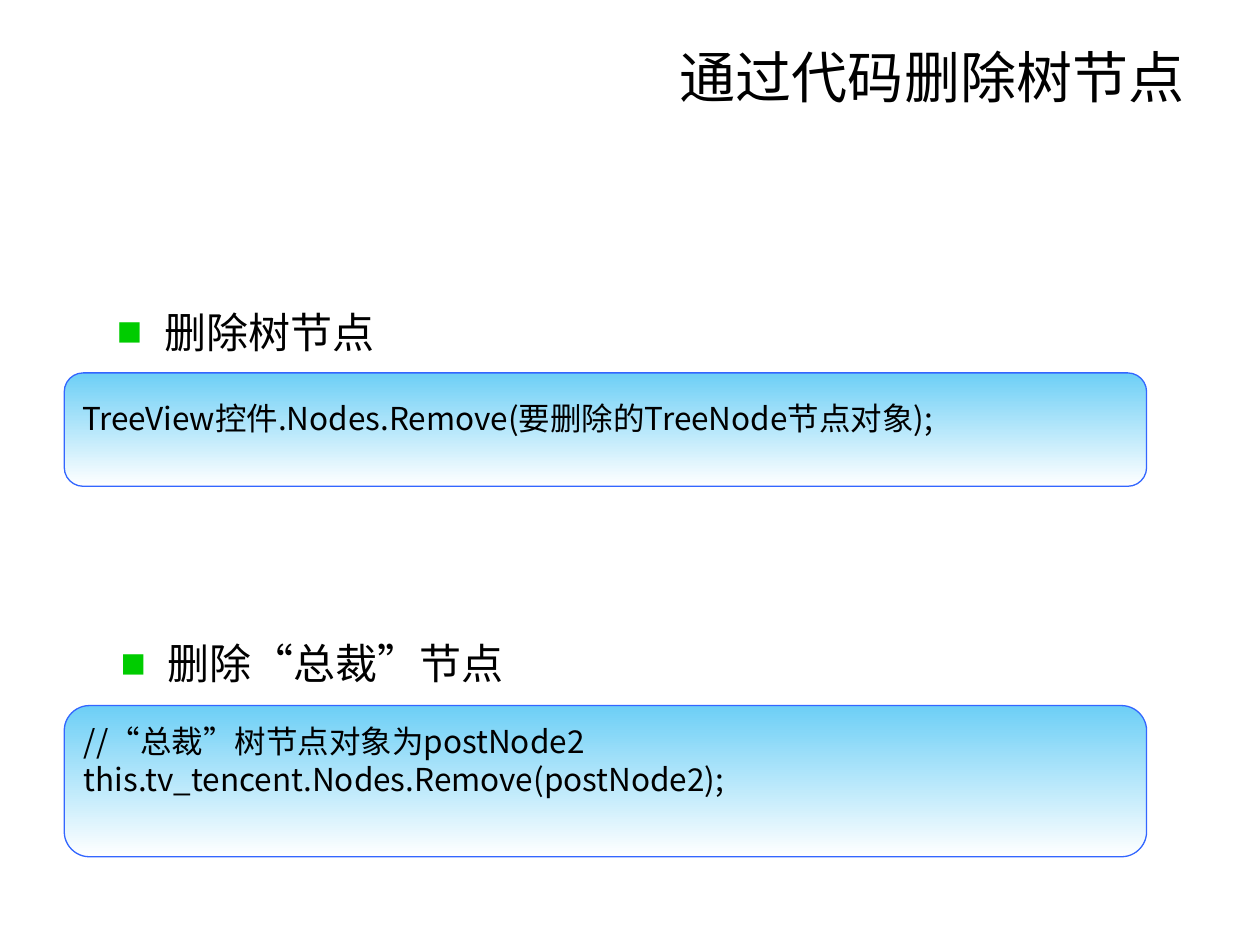
from lxml import etree
from pptx import Presentation
from pptx.dml.color import RGBColor
from pptx.enum.shapes import MSO_SHAPE
from pptx.enum.text import MSO_ANCHOR, PP_ALIGN
from pptx.oxml.ns import qn
from pptx.util import Pt

ALTERNATE_PROCESS = MSO_SHAPE.FLOWCHART_ALTERNATE_PROCESS
TOP, MIDDLE = MSO_ANCHOR.TOP, MSO_ANCHOR.MIDDLE
LEFT, RIGHT = PP_ALIGN.LEFT, PP_ALIGN.RIGHT

BLACK = RGBColor(0x00, 0x00, 0x00)
WHITE = RGBColor(0xFF, 0xFF, 0xFF)
GREEN = RGBColor(0x00, 0xCC, 0x00)
SKY = RGBColor(0x6D, 0xCF, 0xF6)
BLUE = RGBColor(0x33, 0x66, 0xFF)

LATIN_FONT = "Arial"
CHINESE_FONT = "Noto Sans CJK SC"

CODE_LEFT, CODE_WIDTH = 36.72, 618.48
SECTIONS = [
    {
        "heading": "删除树节点",
        "heading_box": (59.76, 174.96, 648, 42.5),
        "code": ["TreeView控件.Nodes.Remove(要删除的TreeNode节点对象);"],
        "code_box": (CODE_LEFT, 213.12, CODE_WIDTH, 64.8),
        "line_spacing": 1.5,
    },
    {
        "heading": "删除“总裁”节点",
        "heading_box": (61.92, 364.32, 648, 42.5),
        "code": [
            "//“总裁”树节点对象为postNode2",
            "this.tv_tencent.Nodes.Remove(postNode2);",
        ],
        "code_box": (CODE_LEFT, 403.2, CODE_WIDTH, 86.4),
        "line_spacing": 1.0,
    },
]


def set_attributes(target, values):
    for name, value in values.items():
        setattr(target, name, value)


def add_run(paragraph, text, font_name, size):
    run = paragraph.add_run()
    run.text = text
    set_attributes(run.font, {"name": font_name, "size": Pt(size)})
    run.font.color.rgb = BLACK
    properties = run.font._element
    etree.SubElement(properties, qn("a:ea"), typeface=CHINESE_FONT)


def add_bullet(paragraph, indent):
    properties = paragraph._p.get_or_add_pPr()
    properties.set("marL", str(Pt(indent)))
    properties.set("indent", str(-Pt(indent)))
    color = etree.SubElement(properties, qn("a:buClr"))
    etree.SubElement(color, qn("a:srgbClr"), val=str(GREEN))
    etree.SubElement(properties, qn("a:buFont"), typeface=LATIN_FONT)
    etree.SubElement(properties, qn("a:buChar"), char="■")


def add_text_box(slide, box, frame_values):
    text_box = slide.shapes.add_textbox(*map(Pt, box))
    set_attributes(text_box.text_frame, {"word_wrap": True, **frame_values})
    return text_box.text_frame.paragraphs[0]


def add_title(slide, box, text):
    paragraph = add_text_box(slide, box, {"vertical_anchor": MIDDLE})
    paragraph.alignment = RIGHT
    add_run(paragraph, text, LATIN_FONT, 32)


def add_heading(slide, box, text):
    paragraph = add_text_box(
        slide, box, {"vertical_anchor": TOP, "margin_top": 0}
    )
    add_bullet(paragraph, 27)
    add_run(paragraph, text, LATIN_FONT, 24)


def add_code_panel(slide, box, lines, line_spacing):
    panel = slide.shapes.add_shape(ALTERNATE_PROCESS, *map(Pt, box))
    panel.shadow.inherit = False
    panel.fill.gradient()
    panel.fill.gradient_angle = 270
    for stop, color, position in zip(
        panel.fill.gradient_stops, (SKY, WHITE), (0, 1)
    ):
        stop.color.rgb = color
        stop.position = position
    panel.line.color.rgb = BLUE
    panel.line.width = Pt(0.75)
    frame = panel.text_frame
    set_attributes(frame, {
        "word_wrap": True,
        "vertical_anchor": MIDDLE,
        "margin_left": Pt(7.2),
        "margin_right": Pt(7.2),
        "margin_top": Pt(3.6),
        "margin_bottom": Pt(27.6),
    })
    for index, line in enumerate(lines):
        paragraph = frame.add_paragraph() if index else frame.paragraphs[0]
        set_attributes(
            paragraph, {"alignment": LEFT, "line_spacing": line_spacing}
        )
        add_run(paragraph, line, CHINESE_FONT, 18)


def main():
    presentation = Presentation()
    set_attributes(
        presentation, {"slide_width": Pt(720), "slide_height": Pt(540)}
    )
    slide = presentation.slides.add_slide(presentation.slide_layouts[6])
    add_title(slide, (184.32, 21.6, 499.68, 43.92), "通过代码删除树节点")
    for section in SECTIONS:
        add_heading(slide, section["heading_box"], section["heading"])
        add_code_panel(
            slide, section["code_box"], section["code"],
            section["line_spacing"],
        )
    presentation.save("out.pptx")


if __name__ == "__main__":
    main()
